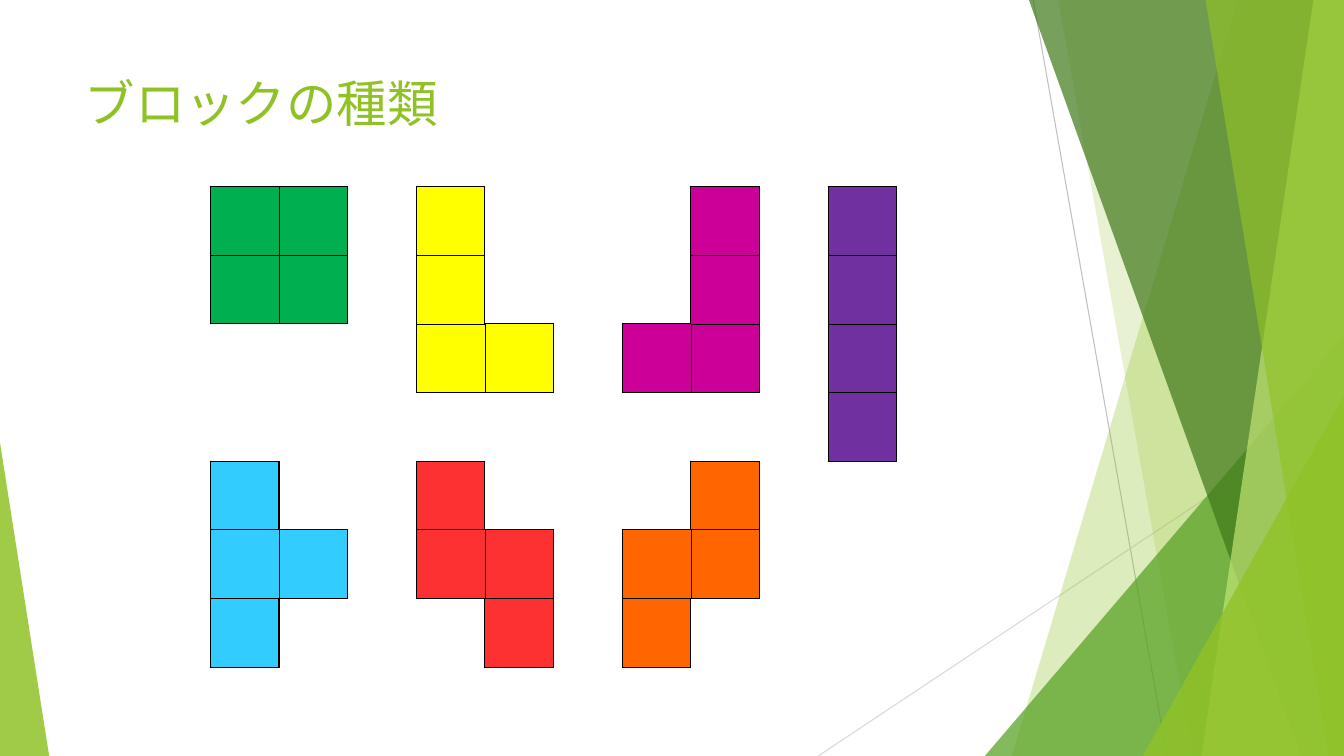
from lxml import etree
from pptx import Presentation
from pptx.dml.color import RGBColor
from pptx.enum.shapes import MSO_CONNECTOR, MSO_SHAPE
from pptx.enum.text import MSO_ANCHOR, PP_ALIGN
from pptx.oxml import parse_xml
from pptx.oxml.ns import nsdecls, qn
from pptx.util import Cm, Pt

STRAIGHT = MSO_CONNECTOR.STRAIGHT
TRIANGLE = MSO_SHAPE.ISOSCELES_TRIANGLE
TOP = MSO_ANCHOR.TOP
LEFT = PP_ALIGN.LEFT

LIME = RGBColor(0x90, 0xC2, 0x26)
LEAF = RGBColor(0x54, 0xA0, 0x21)
FOREST = RGBColor(0x3F, 0x78, 0x19)
PALE_LIME = RGBColor(0xC0, 0xE4, 0x74)
GREY = RGBColor(0xBF, 0xBF, 0xBF)
LIGHT_GREY = RGBColor(0xD9, 0xD9, 0xD9)

WIDTH, HEIGHT = 33.87, 19.05
CELL_SIZE = 1.73
BLOCK_COLORS = {
    "O": RGBColor(0x00, 0xB0, 0x50),
    "L": RGBColor(0xFF, 0xFF, 0x00),
    "J": RGBColor(0xCC, 0x00, 0x99),
    "I": RGBColor(0x70, 0x30, 0xA0),
    "T": RGBColor(0x33, 0xCC, 0xFF),
    "Z": RGBColor(0xFD, 0x31, 0x31),
    "S": RGBColor(0xFF, 0x66, 0x00),
}
BLOCK_GRID = [
    "OO.L...J.I",
    "OO.L...J.I",
    "...LL.JJ.I",
    ".........I",
    "T..Z...S..",
    "TT.ZZ.SS..",
    "T...Z.S...",
]
SIDES = {"lnL": (0, -1), "lnR": (0, 1), "lnT": (-1, 0), "lnB": (1, 0)}


class BlockSlide:
    """Draws the parts of the slide in one shared style."""

    font = "Cabin"

    def __init__(self, deck):
        self.slide = deck.slides.add_slide(deck.slide_layouts[5])
        self.shapes = self.slide.shapes

    def title(self, wording, left, top, width, height):
        heading = self.shapes.title
        heading.left, heading.top = Cm(left), Cm(top)
        heading.width, heading.height = Cm(width), Cm(height)
        frame = heading.text_frame
        frame.word_wrap = True
        frame.vertical_anchor = TOP
        frame.paragraphs[0].alignment = LEFT
        run = frame.paragraphs[0].add_run()
        run.text = wording
        run.font.name = self.font
        run.font.size = Pt(36)
        run.font.color.rgb = LIME

    def line(self, start, end, color):
        ray = self.shapes.add_connector(STRAIGHT, *map(Cm, start + end))
        ray.line.color.rgb = color
        ray.line.width = Pt(0.75)
        etree.SubElement(ray._element.spPr, qn("a:effectLst"))

    def paint(self, facet, color, opacity):
        facet.shadow.inherit = False
        facet.line.fill.background()
        facet.fill.solid()
        facet.fill.fore_color.rgb = color
        tint = facet._element.spPr.find(qn("a:solidFill"))[0]
        etree.SubElement(tint, qn("a:alpha"), val=str(opacity * 1000))

    def band(self, top_x, bottom_x, color, opacity):
        corners = [(WIDTH, 0), (WIDTH, HEIGHT), (bottom_x, HEIGHT)]
        outline = self.shapes.build_freeform(Cm(top_x), 0)
        outline.add_line_segments([(Cm(x), Cm(y)) for x, y in corners])
        self.paint(outline.convert_to_shape(), color, opacity)

    def triangle(self, left, top, width, apex, color, opacity):
        bounds = map(Cm, (left, top, width, HEIGHT - top))
        wedge = self.shapes.add_shape(TRIANGLE, *bounds)
        wedge.adjustments[0] = apex
        self.paint(wedge, color, opacity)

    def border(self, cell, side, width):
        if width:
            stroke = '<a:solidFill><a:srgbClr val="000000"/></a:solidFill>'
        else:
            stroke = "<a:noFill/>"
        cell._tc.get_or_add_tcPr().append(parse_xml(
            f'<a:{side} {nsdecls("a")} w="{Pt(width)}">{stroke}</a:{side}>'))

    def blocks(self, grid, left, top):
        rows, columns = len(grid), len(grid[0])
        board = self.shapes.add_table(
            rows, columns, Cm(left), Cm(top),
            Cm(CELL_SIZE * columns), Cm(CELL_SIZE * rows)).table
        board.first_row = board.horz_banding = False
        for track in board.columns:
            track.width = Cm(CELL_SIZE)
        for track in board.rows:
            track.height = Cm(CELL_SIZE)
        squares = {(r, c): kind for r, row in enumerate(grid)
                   for c, kind in enumerate(row)}
        for (r, c), kind in squares.items():
            cell = board.cell(r, c)
            for side, (down, across) in SIDES.items():
                neighbour = squares.get((r + down, c + across), ".")
                if kind != neighbour:
                    width = 1
                else:
                    width = 0 if kind == "." else 0.5
                self.border(cell, side, width)
            if kind == ".":
                cell.fill.background()
            else:
                cell.fill.solid()
                cell.fill.fore_color.rgb = BLOCK_COLORS[kind]


def main():
    deck = Presentation()
    deck.slide_width, deck.slide_height = Cm(WIDTH), Cm(HEIGHT)
    page = BlockSlide(deck)

    page.line((26.04, 0), (29.41, HEIGHT), GREY)
    page.line((WIDTH, 10.24), (20.62, HEIGHT), LIGHT_GREY)
    page.band(31.19, 25.5, LIME, 30)
    page.band(26.67, 30.05, LIME, 20)
    page.triangle(24.82, 8.46, 9.05, 1, LEAF, 72)
    page.band(25.93, 32.79, FOREST, 70)
    page.band(33.1, 30.28, PALE_LIME, 70)
    page.band(30.38, 33.48, LIME, 65)
    page.triangle(28.8, 9.98, 5.07, 1, LIME, 80)
    page.triangle(0, 11.15, 1.24, 0, LIME, 85)

    page.title("ブロックの種類", 1.88, 1.7, 23.88, 3.66)
    page.blocks(BLOCK_GRID, 5.3, 4.7)
    deck.save("out.pptx")


if __name__ == "__main__":
    main()
